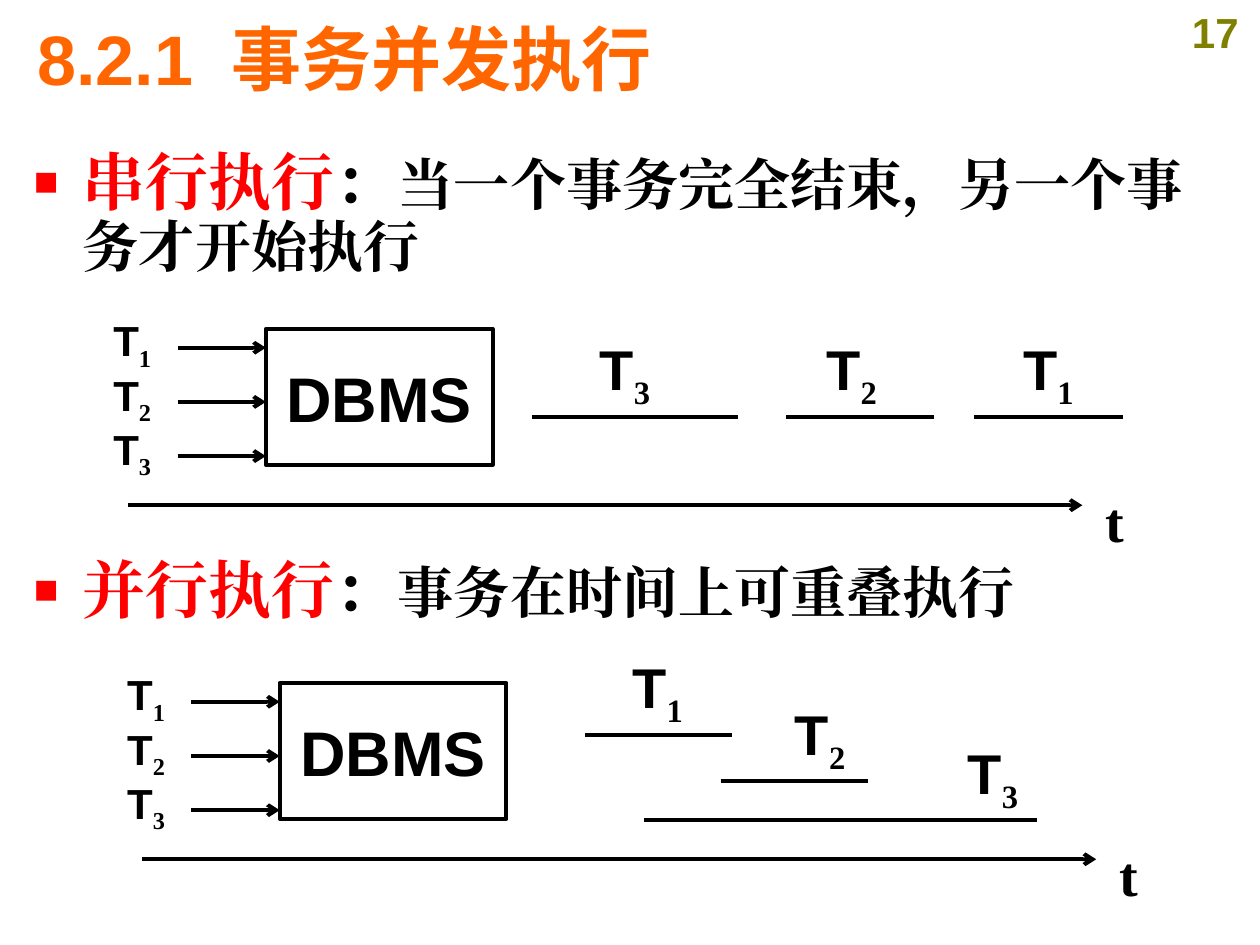
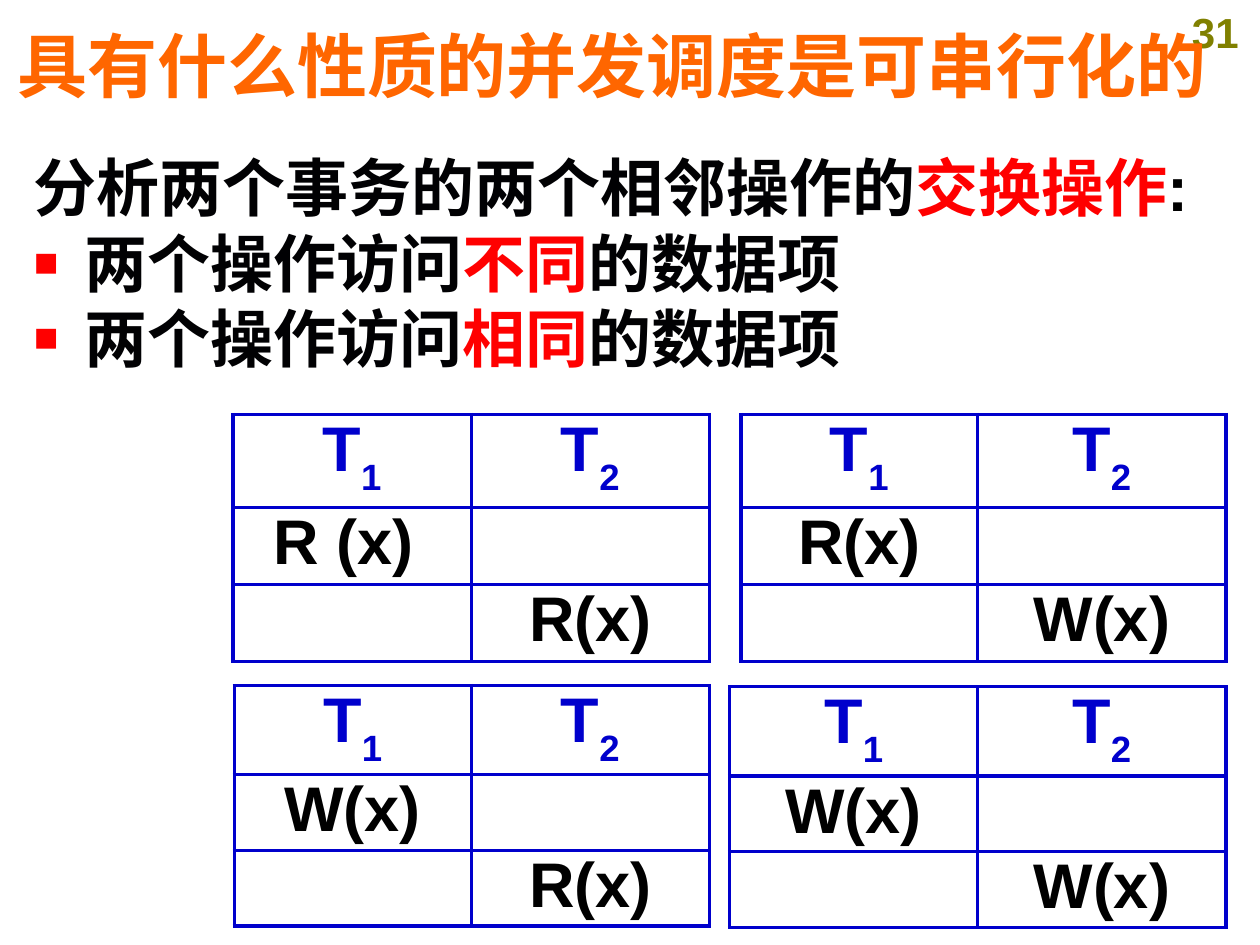
import dataclasses

import lxml.etree
import pptx
import pptx.dml.color
import pptx.enum.shapes
import pptx.enum.text
import pptx.oxml.ns
import pptx.util

PX = 9144
ALIGN = pptx.enum.text.PP_ALIGN
ANCHOR = pptx.enum.text.MSO_ANCHOR
qn = pptx.oxml.ns.qn


def px(length):
    return pptx.util.Emu(length * PX)


def rgb(value):
    return pptx.dml.color.RGBColor.from_string(value)


def add_element(parent, tag, **attributes):
    return lxml.etree.SubElement(parent, qn(tag), attributes)


@dataclasses.dataclass(frozen=True)
class Theme:
    sans: str = "Arial"
    serif: str = "Times New Roman"
    white: str = "FFFFFF"
    ink: str = "000000"
    body_ink: str = "010103"
    accent: str = "FF0000"
    title: str = "FF6600"
    number: str = "808000"
    table: str = "0000CC"
    title_size: int = 40
    large: int = 36
    medium: int = 32
    small: int = 24
    line_width: float = 2.25
    title_gap: int = 1100


class Deck:
    def __init__(self, theme):
        self.theme = theme
        self.presentation = pptx.Presentation()
        self.presentation.slide_width = px(1000)
        self.presentation.slide_height = px(750)
        self.slide = None

    def add_slide(self, number, title, title_box):
        layout = self.presentation.slide_layouts[6]
        self.slide = self.presentation.slides.add_slide(layout)
        theme = self.theme
        self.text((929, 0, 71, 50), [(number, {})], theme.small, theme.number)
        self.text(title_box, title, theme.title_size, theme.title,
                  alignment=ALIGN.LEFT, anchor=ANCHOR.MIDDLE)

    def add_runs(self, paragraph, runs, size, color, alignment=ALIGN.CENTER):
        paragraph.alignment = alignment
        for content, changes in runs:
            style = {"size": size, "color": color, "name": self.theme.sans, **changes}
            run = paragraph.add_run()
            run.text = content
            values = {"size": pptx.util.Pt(style["size"]), "bold": True, "name": style["name"]}
            for key, value in values.items():
                setattr(run.font, key, value)
            run.font.color.rgb = rgb(style["color"])
            properties = run._r.get_or_add_rPr()
            add_element(properties, "a:ea", typeface=style["name"])
            for key in ("baseline", "spc"):
                if key in style:
                    properties.set(key, str(style[key]))

    def frame(self, shape, anchor=ANCHOR.TOP, margin=5):
        values = {"word_wrap": True, "vertical_anchor": anchor,
                  "margin_left": px(10), "margin_right": px(10),
                  "margin_top": px(margin), "margin_bottom": px(margin)}
        for key, value in values.items():
            setattr(shape.text_frame, key, value)
        return shape.text_frame

    def text_box(self, box, anchor=ANCHOR.TOP):
        return self.frame(self.slide.shapes.add_textbox(*map(px, box)), anchor)

    def text(self, box, runs, size, color, alignment=ALIGN.CENTER, anchor=ANCHOR.TOP):
        paragraph = self.text_box(box, anchor).paragraphs[0]
        self.add_runs(paragraph, runs, size, color, alignment)

    def body(self, box, paragraphs, indent, color):
        text_frame = self.text_box(box)
        for index, (bulleted, spacing, runs) in enumerate(paragraphs):
            paragraph = text_frame.add_paragraph() if index else text_frame.paragraphs[0]
            properties = paragraph._p.get_or_add_pPr()
            properties.set("marL", str(px(indent)))
            properties.set("indent", str(px(-indent)))
            if bulleted:
                bullet_color = add_element(properties, "a:buClr")
                add_element(bullet_color, "a:srgbClr", val=self.theme.accent)
                add_element(properties, "a:buSzPct", val="65000")
                add_element(properties, "a:buFont", typeface=self.theme.sans)
                add_element(properties, "a:buChar", char="■")
            paragraph.line_spacing = spacing
            self.add_runs(paragraph, runs, self.theme.large, color, ALIGN.LEFT)

    def line(self, left, right, y, arrow=False):
        connector = self.slide.shapes.add_connector(
            pptx.enum.shapes.MSO_CONNECTOR.STRAIGHT, px(left), px(y), px(right), px(y))
        connector.line.color.rgb = rgb(self.theme.ink)
        connector.line.width = pptx.util.Pt(self.theme.line_width)
        if arrow:
            add_element(connector.line._get_or_add_ln(), "a:tailEnd", type="arrow")
        add_element(connector._element.spPr, "a:effectLst")

    def rectangle(self, box, label):
        shape = self.slide.shapes.add_shape(
            pptx.enum.shapes.MSO_SHAPE.RECTANGLE, *map(px, box))
        shape.shadow.inherit = False
        shape.fill.background()
        shape.line.color.rgb = rgb(self.theme.ink)
        shape.line.width = pptx.util.Pt(self.theme.line_width)
        paragraph = self.frame(shape, margin=24).paragraphs[0]
        self.add_runs(paragraph, [(label, {})], self.theme.large, self.theme.ink)

    def transaction(self, left, top, index, size, width=70):
        subscript = {"name": self.theme.serif, "baseline": -25000}
        height = 51 if size == self.theme.small else 64
        self.text((left, top, width, height), [("T", {}), (str(index), subscript)],
                  size, self.theme.ink)

    def timeline(self, left, top, spans):
        theme = self.theme
        self.line(left + 32, left + 789, top + 156, arrow=True)
        self.rectangle((left + 141, top + 16, 180, 108), "DBMS")
        self.text((left + 787, top + 136, 55, 64), [("t", {"name": theme.serif})],
                  theme.medium, theme.ink)
        for index in range(3):
            row = top + 43 * index
            self.transaction(left, row, index + 1, theme.small)
            self.line(left + 71, left + 141, row + 31, arrow=True)
        for index, label_left, label_top, start, end, y in spans:
            self.line(start, end, y)
            self.transaction(label_left, label_top, index, theme.medium)

    def cell(self, cell, runs, color):
        margins = {"margin_left": 10, "margin_right": 10, "margin_top": 0, "margin_bottom": 0}
        for key, value in margins.items():
            setattr(cell, key, px(value))
        properties = cell._tc.get_or_add_tcPr()
        for side in ("a:lnL", "a:lnR", "a:lnT", "a:lnB"):
            border = add_element(properties, side, w=str(pptx.util.Pt(self.theme.line_width)))
            border_fill = add_element(border, "a:solidFill")
            add_element(border_fill, "a:srgbClr", val=self.theme.table)
        cell.fill.solid()
        cell.fill.fore_color.rgb = rgb(self.theme.white)
        self.add_runs(cell.text_frame.paragraphs[0], runs, self.theme.large, color)

    def schedule(self, left, top, columns, rows, first, second):
        theme = self.theme
        table = self.slide.shapes.add_table(
            3, 2, px(left), px(top), px(sum(columns)), px(sum(rows))).table
        table.first_row = table.horz_banding = False
        for column, width in zip(table.columns, columns):
            column.width = px(width)
        for row, height in zip(table.rows, rows):
            row.height = px(height)
        for index in range(2):
            header = [("T", {}), (str(index + 1), {"baseline": -30000})]
            self.cell(table.cell(0, index), header, theme.table)
        for row, operations in enumerate([(first, ""), ("", second)], 1):
            for column, operation in enumerate(operations):
                runs = [(operation, {})] if operation else []
                self.cell(table.cell(row, column), runs, theme.ink)


def add_concurrency_slide(deck):
    theme = deck.theme
    title = [("8.2.1", {}), (" ", {"spc": theme.title_gap}), ("事务并发执行", {})]
    deck.add_slide("17", title, (20, 8, 950, 76))
    serif = {"name": theme.serif}
    definitions = [
        (115, 130, "串行执行", "当一个事务完全结束，另一个事务才开始执行"),
        (439, 75, "并行执行", "事务在时间上可重叠执行"),
    ]
    for top, height, term, meaning in definitions:
        runs = [(term, {**serif, "color": theme.accent}), ("：", serif),
                (meaning, {**serif, "size": theme.medium})]
        deck.body((17, top, 968, height), [(True, 0.9, runs)], 39, theme.ink)
    deck.timeline(70, 245, [
        (3, 461, 261, 422, 586, 331),
        (2, 641, 261, 624, 741, 331),
        (1, 797, 261, 773, 891, 331),
    ])
    deck.timeline(81, 526, [
        (1, 487, 513, 464, 581, 583),
        (2, 616, 550, 572, 689, 620),
        (3, 753, 581, 511, 823, 651),
    ])


def add_serializability_slide(deck):
    theme = deck.theme
    accent = {"color": theme.accent}
    deck.add_slide("31", [("具有什么性质的并发调度是可串行化的", {})], (4, 13, 980, 76))
    paragraphs = [(False, 1.1, [("分析两个事务的两个相邻操作的", {}), ("交换操作", accent),
                                (":", {"color": theme.ink})])]
    for relation in ("不同", "相同"):
        paragraphs.append((True, 1.0, [("两个操作访问", {}), (relation, accent),
                                       ("的数据项", {})]))
    deck.body((17, 107, 956, 604), paragraphs, 40, theme.body_ink)
    schedules = [
        (185, 329, (189, 189), (74, 61, 61), "R (x) ", "R(x)"),
        (588, 329, (188, 197), (74, 61, 61), "R(x)", "W(x)"),
        (186, 544, (188, 189), (66, 60, 60), "W(x)", "R(x)"),
        (579, 545, (197, 197), (66, 60, 60), "W(x)", "W(x)"),
    ]
    for schedule in schedules:
        deck.schedule(*schedule)


def main():
    deck = Deck(Theme())
    add_concurrency_slide(deck)
    add_serializability_slide(deck)
    deck.presentation.save("out.pptx")


if __name__ == "__main__":
    main()
